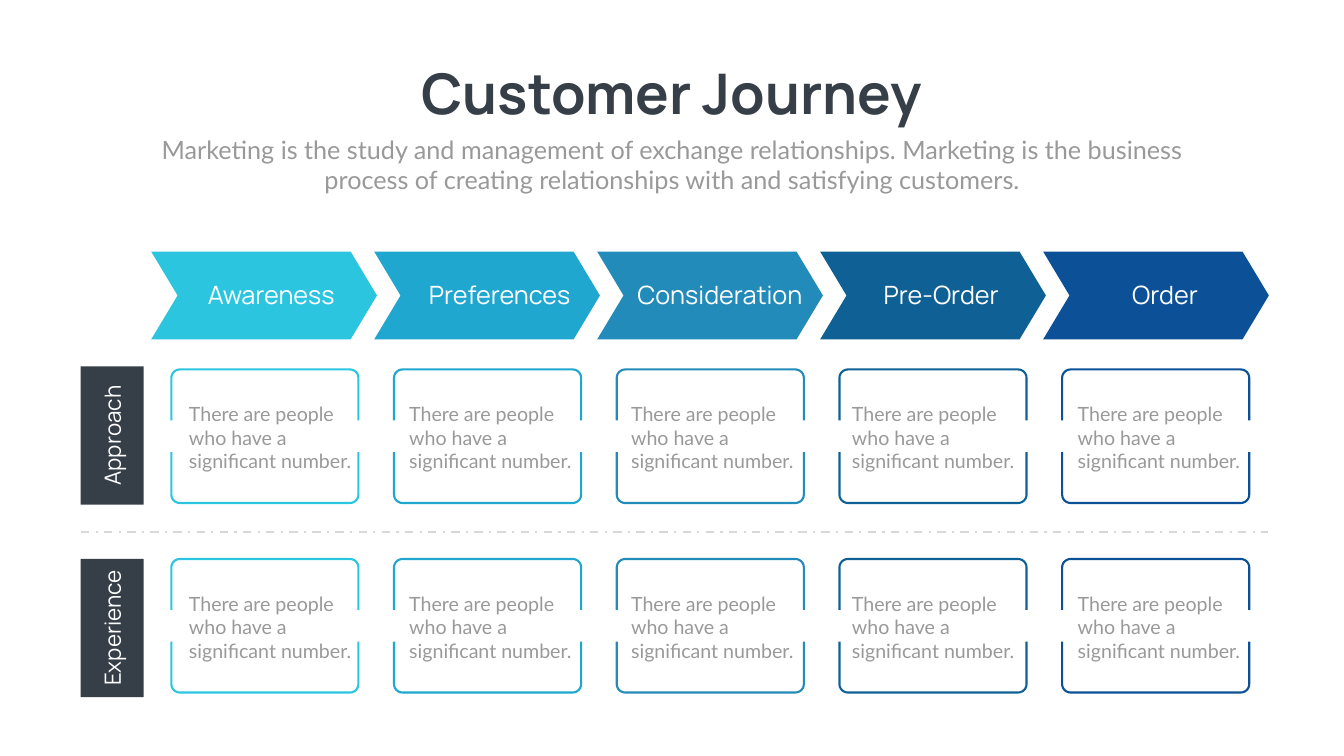
import math

from pptx import Presentation, util as u
from pptx.dml.color import RGBColor
from pptx.enum import dml, shapes, text
from pptx.oxml import parse_xml
from pptx.oxml.ns import nsdecls

DARK, GREY, RULE, WHITE = "363E48", "999999", "D8D8D8", "FFFFFF"
BODY = "There are people who have a significant number."

# Stage name, colour, left of the heading, left of the card text
STAGES = [
    ("Awareness", "2BC5E0", 12.72, 13.69),
    ("Preferences", "20A7D0", 29.71, 30.08),
    ("Consideration", "228BB9", 46.1, 46.59),
    ("Pre-Order", "0F6195", 62.57, 63.02),
    ("Order", "0C5198", 79.22, 79.82),
]
ROWS = ["Approach", "Experience"]
ROW_STEP, BAR_STEP = 25.07, 25.47
CARD_W, CARD_H, SIDE_H = 13.92, 17.67, 6.73
CORNER_X, CORNER_Y = 0.64, 1.1


def rgb(code):
    return RGBColor.from_string(code)


class Deck:
    """Lengths are percentages of the slide's width and height."""

    def __init__(self, width, height):
        self.prs = Presentation()
        self.prs.slide_width, self.prs.slide_height = u.Inches(width), u.Inches(height)
        self.s = self.prs.slides.add_slide(self.prs.slide_layouts[6])

    def x(self, share):
        return round(self.prs.slide_width * share / 100)

    def y(self, share):
        return round(self.prs.slide_height * share / 100)

    def box(self, x, y, w, h):
        return self.x(x), self.y(y), self.x(w), self.y(h)

    def text(self, words, *at, size, font="Lato", color=GREY, bold=False,
             align=text.PP_ALIGN.CENTER, turn=0):
        sp = self.s.shapes.add_textbox(*self.box(*at))
        sp.rotation = turn
        tf = sp.text_frame
        tf.word_wrap = True
        p = tf.paragraphs[0]
        p.alignment = align
        r = p.add_run()
        r.text = words
        r.font.name, r.font.size, r.font.bold = font, u.Pt(size), bold
        r.font.color.rgb = rgb(color)

    def shape(self, kind, *at, color):
        sp = self.s.shapes.add_shape(kind, *self.box(*at))
        sp.shadow.inherit = False
        sp.fill.solid()
        sp.fill.fore_color.rgb = rgb(color)
        sp.line.fill.background()
        return sp

    def half_frame(self, x, edge, side, color):
        """Open bracket: a rounded edge at one height, sides reaching by side."""
        lean = math.copysign(CORNER_Y, side)
        points = [(x, edge + side)]
        for cx, start in ((x + CORNER_X, 180), (x + CARD_W - CORNER_X, 90)):
            for step in range(7):
                a = math.radians(start - 15 * step)
                points.append((cx + CORNER_X * math.cos(a),
                               edge + lean * (1 - math.sin(a))))
        points.append((x + CARD_W, edge + side))
        points = [(self.x(px), self.y(py)) for px, py in points]
        path = self.s.shapes.build_freeform(*points[0])
        path.add_line_segments(points[1:], close=False)
        sp = path.convert_to_shape()
        sp.shadow.inherit = False
        sp.fill.background()
        sp.line.color.rgb, sp.line.width = rgb(color), u.Pt(3)

    def rule(self, x1, x2, y, color):
        sp = self.s.shapes.add_connector(shapes.MSO_CONNECTOR.STRAIGHT, self.x(x1),
                                         self.y(y), self.x(x2), self.y(y))
        sp.line.color.rgb, sp.line.width = rgb(color), u.Pt(3)
        sp.line.dash_style = dml.MSO_LINE.DASH_DOT
        sp._element.spPr.append(parse_xml(f"<a:effectLst {nsdecls('a')}/>"))


def main():
    deck = Deck(26.66, 15)

    # Title and introduction
    deck.text("Customer Journey", 29.44, 7.47, 41.11, 9.67,
              size=80, font="Manrope", color=DARK, bold=True)
    deck.text("Marketing is the study and management of exchange relationships. "
              "Marketing is the business process of creating relationships with "
              "and satisfying customers.", 10.95, 17.4, 78.1, 8.73, size=36)

    # Stage arrows with headings
    for i, (name, color, head_x, _) in enumerate(STAGES):
        arrow = deck.shape(shapes.MSO_SHAPE.CHEVRON, 11.25 + 16.59 * i, 33.27,
                           16.8, 11.63, color=color)
        arrow.adjustments[0] = 0.3
        deck.text(name, head_x, 36.67, 14.93, 4.73,
                  size=36, font="Manrope", color=WHITE)

    # Row labels and cards
    for j, label in enumerate(ROWS):
        bar_x, bar_y, bar_w, bar_h = 6, 48.47 + BAR_STEP * j, 4.69, 18.27
        deck.shape(shapes.MSO_SHAPE.RECTANGLE, bar_x, bar_y, bar_w, bar_h, color=DARK)
        w, h = 13.39, 4.27
        deck.text(label, bar_x + (bar_w - w) / 2, bar_y + (bar_h - h) / 2, w, h,
                  size=32, font="Manrope", color=WHITE, turn=270)
        top = 48.87 + ROW_STEP * j
        for i, (_, color, _, body_x) in enumerate(STAGES):
            x = 12.75 + 16.57 * i
            deck.half_frame(x, top, SIDE_H, color)
            deck.half_frame(x, top + CARD_H, -SIDE_H, color)
            deck.text(BODY, body_x, top + 4, 12.87, 9.67, size=28,
                      align=text.PP_ALIGN.LEFT)

    # Divider between the rows
    deck.rule(6.02, 94.37, 70.4, RULE)

    deck.prs.save("out.pptx")


if __name__ == "__main__":
    main()
